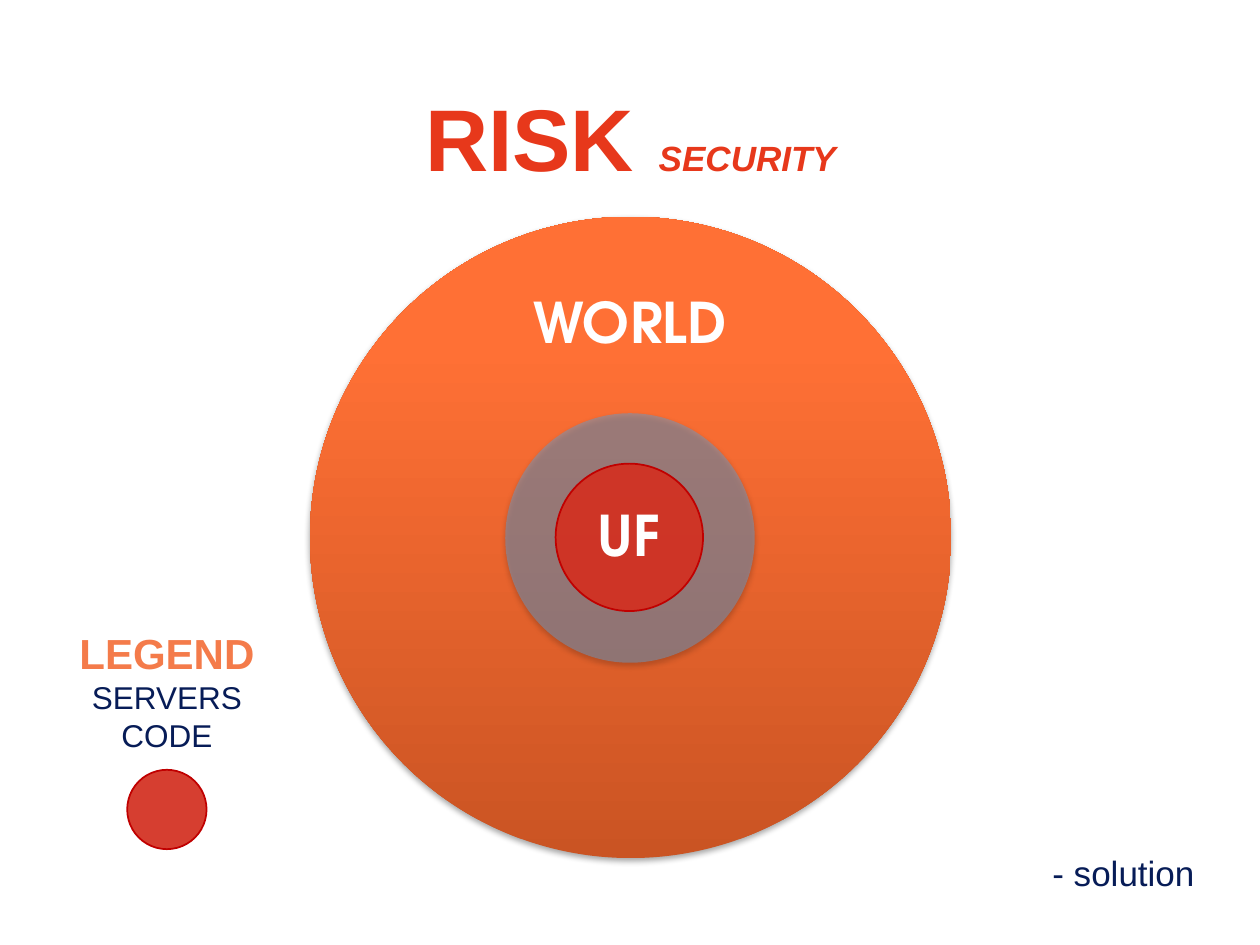
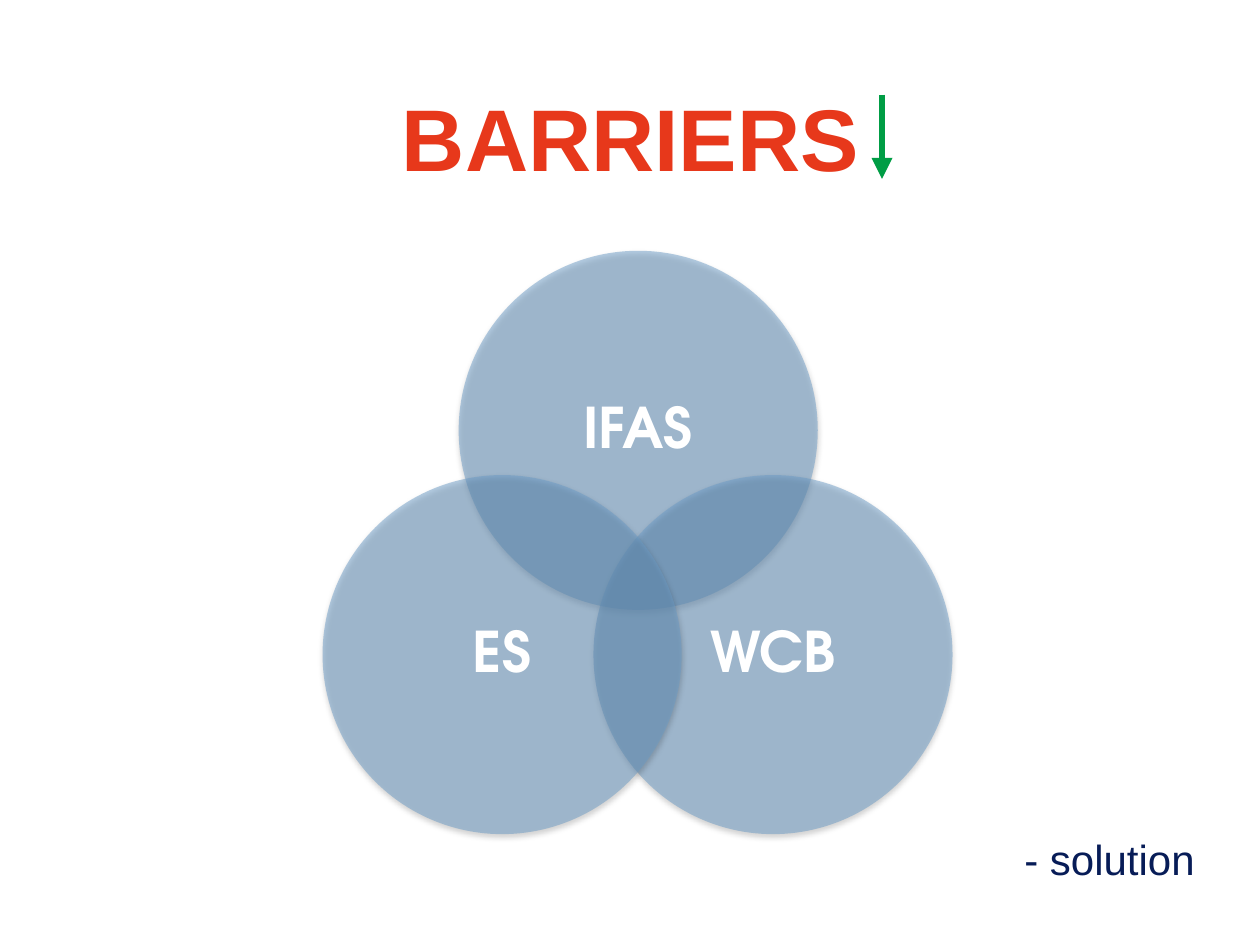
from lxml import etree
from pptx import Presentation
from pptx.dml.color import RGBColor
from pptx.enum.shapes import MSO_CONNECTOR, MSO_SHAPE
from pptx.enum.text import MSO_ANCHOR, MSO_AUTO_SIZE, PP_ALIGN
from pptx.oxml import parse_xml
from pptx.oxml.ns import nsdecls, qn
from pptx.util import Emu, Pt

PX = 9144  # EMU in one px, 100 px to the inch
TITLE_RED = "E7381B"
NAVY = "071C57"
ORANGE = "F47B4A"
WHITE = "FFFFFF"
RING_BLUE = "6A9AC5"
CORE_RED = "D33021"
CORE_LINE = "C00000"
ARROW_GREEN = "009D45"
WORLD_STOPS = [(0, "CA5423"), (80, "FF7035"), (100, "FF7137")]
BODY_FONT = "Arial"
LABEL_FONT = "TeX Gyre Adventor"


def px(*lengths):
    return [Emu(length * PX) for length in lengths]


def color(value):
    return RGBColor.from_string(value)


def style_span(span, size, hue, name=BODY_FONT, bold=False, italic=False):
    font = span.font
    font.size, font.name, font.bold, font.italic = Pt(size), name, bold, italic
    font.color.rgb = color(hue)


def add_page(deck, title, subtitle=""):
    page = deck.slides.add_slide(deck.slide_layouts[5])
    box = page.shapes.title
    box.left, box.top, box.width, box.height = px(42, 42, 917, 133)
    box.text_frame.vertical_anchor = MSO_ANCHOR.MIDDLE
    para = box.text_frame.paragraphs[0]
    para.alignment = PP_ALIGN.CENTER
    para.text = title
    style_span(para.runs[0], 50, TITLE_RED, bold=True)
    if subtitle:
        span = para.add_run()
        span.text = subtitle
        style_span(span, 20, TITLE_RED, bold=True, italic=True)
    return page


def add_circle(shapes, left, top, size):
    circle = shapes.add_shape(MSO_SHAPE.OVAL, *px(left, top, size, size))
    circle.shadow.inherit = False
    circle.line.fill.background()
    return circle


def fill_circle(circle, hue, opacity):
    circle.fill.solid()
    circle.fill.fore_color.rgb = color(hue)
    solid = circle.fill._xPr.find(qn("a:solidFill"))
    etree.SubElement(solid[0], qn("a:alpha"), val=str(opacity * 1000))


def add_soft_shadow(circle):
    effects = circle._element.spPr.find(qn("a:effectLst"))
    effects.append(parse_xml(
        f'<a:outerShdw {nsdecls("a")} blurRad="39370" dist="22860" dir="5400000" '
        'rotWithShape="0"><a:srgbClr val="000000"><a:alpha val="35000"/>'
        '</a:srgbClr></a:outerShdw>'))


def add_world(shapes, left, top, size):
    """Large circle, shaded from its bottom to its top."""
    circle = add_circle(shapes, left, top, size)
    stops = "".join(f'<a:gs pos="{place * 1000}"><a:srgbClr val="{hue}"/></a:gs>'
                    for place, hue in WORLD_STOPS)
    gradient = parse_xml(
        f'<a:gradFill {nsdecls("a")} rotWithShape="1"><a:gsLst>{stops}</a:gsLst>'
        '<a:lin ang="16200000" scaled="0"/></a:gradFill>')
    circle._element.spPr.find(qn("a:prstGeom")).addnext(gradient)
    add_soft_shadow(circle)


def add_ring(shapes, left, top, size):
    circle = add_circle(shapes, left, top, size)
    fill_circle(circle, RING_BLUE, 50)
    add_soft_shadow(circle)


def add_core(shapes, left, top, size):
    circle = add_circle(shapes, left, top, size)
    fill_circle(circle, CORE_RED, 93)
    circle.line.color.rgb = color(CORE_LINE)
    circle.line.width = Pt(1)


def add_label(shapes, text, left, top, size):
    box = shapes.add_textbox(*px(left, top, size, size))
    frame = box.text_frame
    frame.word_wrap = True
    frame.vertical_anchor = MSO_ANCHOR.MIDDLE
    frame.margin_left, frame.margin_right = px(13, 13)
    frame.margin_top, frame.margin_bottom = px(2, 2)
    frame.text = text
    para = frame.paragraphs[0]
    para.alignment = PP_ALIGN.CENTER
    para.line_spacing = 0.9
    style_span(para.runs[0], 32, WHITE, LABEL_FONT, bold=True)


def add_text(page, lines, left, top, width, height, alignment):
    """Each line is a tuple of text, size, colour and boldness."""
    frame = page.shapes.add_textbox(*px(left, top, width, height)).text_frame
    frame.word_wrap = True
    frame.auto_size = MSO_AUTO_SIZE.SHAPE_TO_FIT_TEXT
    frame.text = "\n".join(line[0] for line in lines)
    for para, (_, size, hue, bold) in zip(frame.paragraphs, lines):
        para.alignment = alignment
        style_span(para.runs[0], size, hue, bold=bold)


def add_solution(page, size, left, top, height):
    add_text(page, [("- solution", size, NAVY, False)],
             left, top, 958 - left, height, PP_ALIGN.RIGHT)


def add_down_arrow(page, x, top, bottom):
    arrow = page.shapes.add_connector(MSO_CONNECTOR.STRAIGHT, *px(x, top, x, bottom))
    arrow.line.color.rgb = color(ARROW_GREEN)
    arrow.line.width = Pt(4)
    etree.SubElement(arrow.line._get_or_add_ln(), qn("a:tailEnd"), type="triangle")
    etree.SubElement(arrow._element.spPr, qn("a:effectLst"))


def build_risk(deck):
    page = add_page(deck, "RISK ", "SECURITY")
    world = page.shapes.add_group_shape().shapes
    add_world(world, 246, 172, 509)
    add_label(world, "WORLD", 320, 78, 360)
    add_ring(page.shapes, 401, 328, 198)
    add_core(page.shapes, 441, 368, 117)
    add_label(page.shapes, "UF", 429, 357, 140)
    legend = [("LEGEND", 24, ORANGE, True),
              ("SERVERS", 18, NAVY, False),
              ("CODE", 18, NAVY, False)]
    add_text(page, legend, 28, 493, 209, 111, PP_ALIGN.CENTER)
    add_core(page.shapes, 101, 611, 63)
    add_solution(page, 20, 571, 671, 44)


def build_barriers(deck):
    page = add_page(deck, "BARRIERS")
    size, inset = 285, 42
    for name, left, top in [("IFAS", 364, 199), ("WCB", 471, 377), ("ES", 256, 377)]:
        barrier = page.shapes.add_group_shape().shapes
        add_ring(barrier, left, top, size)
        add_label(barrier, name, left + inset, top + inset, size - 2 * inset)
    add_solution(page, 24, 501, 657, 50)
    add_down_arrow(page, 700, 75, 142)


def main():
    deck = Presentation()
    deck.slide_width, deck.slide_height = px(1000, 750)
    build_risk(deck)
    build_barriers(deck)
    deck.save("out.pptx")


if __name__ == "__main__":
    main()
